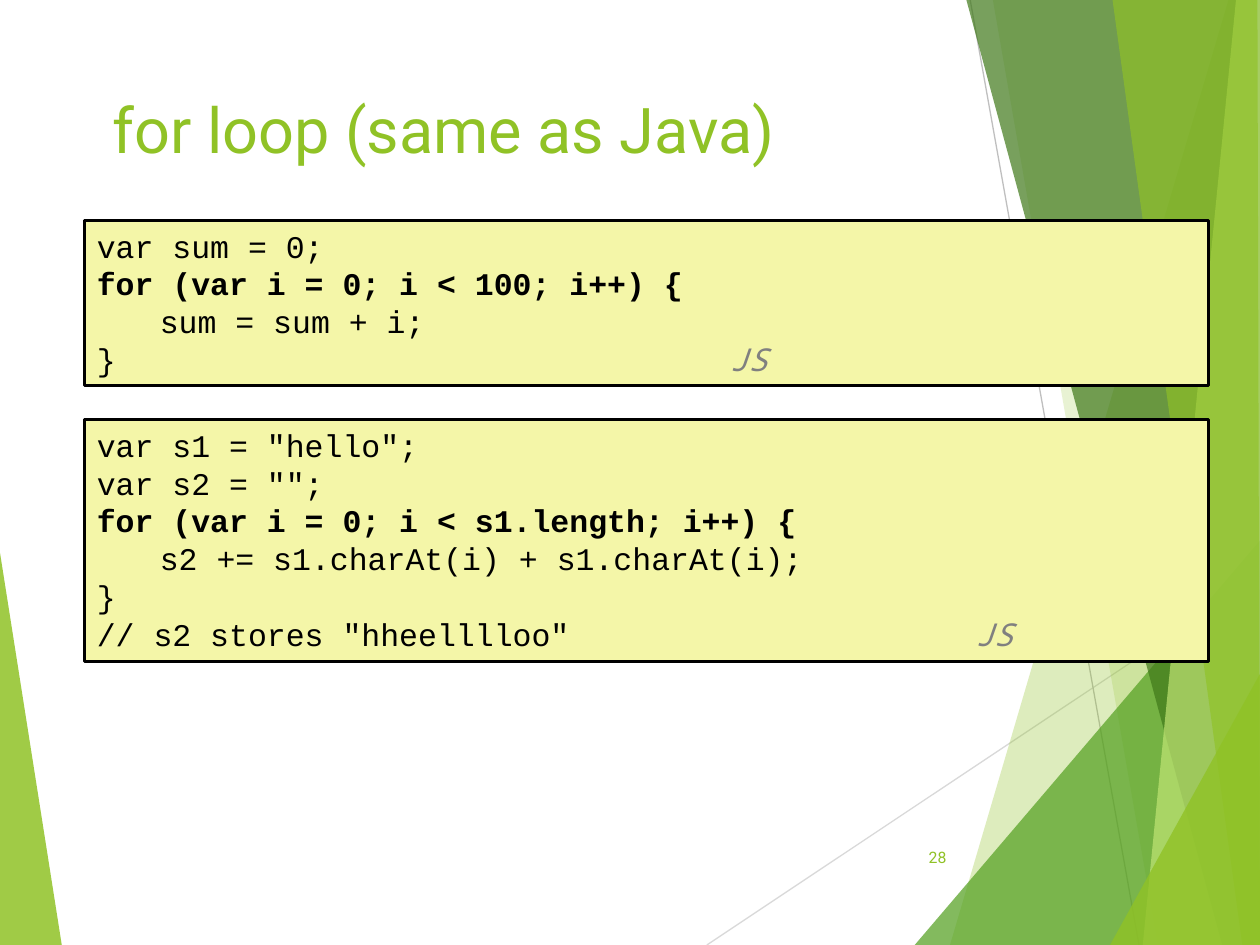
from lxml import etree
from pptx import Presentation
from pptx import util as u
from pptx.dml.color import RGBColor
from pptx.enum import shapes, text
from pptx.oxml import ns

COLORS = {
    "lime": "90C226", "green": "54A021", "forest": "3F7819", "pale": "C0E474",
    "light_rule": "D9D9D9", "rule": "BFBFBF",
    "code_fill": "F4F6A8", "black": "000000", "gray": "808080",
}

deck = Presentation()
deck.slide_width, deck.slide_height = u.Inches(10), u.Inches(7.5)
page = deck.slides.add_slide(deck.slide_layouts[6])


def share(*percents):
    """Turn alternating x, y percentages of the slide into lengths."""
    sides = (deck.slide_width, deck.slide_height)
    return [u.Emu(round(p * sides[i % 2] / 100)) for i, p in enumerate(percents)]


def write(para, words, size=18, font="Courier New", color="black", bold=False, italic=False):
    span = para.add_run()
    span.text = words
    span.font.size, span.font.name = u.Pt(size), font
    span.font.bold, span.font.italic = bold, italic
    span.font.color.rgb = RGBColor.from_string(COLORS[color])


# Thin background rules
for ends, color in [((56.1, 100, 100, 61), "light_rule"), ((77, 0, 90.4, 100), "rule")]:
    rule = page.shapes.add_connector(shapes.MSO_CONNECTOR.STRAIGHT, *share(*ends))
    rule.line.width = u.Pt(0.75)
    rule.line.color.rgb = RGBColor.from_string(COLORS[color])
    etree.SubElement(rule._element.spPr, ns.qn("a:effectLst"))

# Translucent facets: colour, opacity in percent, corners
facets = [
    ("lime", 85, [(0, 58.5), (4.9, 100), (0, 100)]),
    ("lime", 30, [(97.5, 0), (75.4, 100), (100, 100), (100, 0)]),
    ("lime", 20, [(78.8, 0), (91.9, 100), (100, 100), (100, 0)]),
    ("green", 72, [(72.6, 100), (100, 57.2), (100, 100)]),
    ("forest", 70, [(76.7, 0), (97, 100), (100, 100), (100, 0)]),
    ("pale", 70, [(98.1, 0), (90.7, 100), (100, 100), (100, 0)]),
    ("lime", 65, [(88.3, 0), (98.6, 100), (100, 100), (99.8, 0)]),
    ("lime", 80, [(88.1, 100), (100, 71.3), (100, 100)]),
]
for color, opacity, corners in facets:
    start, *rest = [share(*corner) for corner in corners]
    builder = page.shapes.build_freeform(*start)
    builder.add_line_segments(rest, close=True)
    facet = builder.convert_to_shape()
    facet.shadow.inherit = False
    facet.line.fill.background()
    facet.fill.solid()
    facet.fill.fore_color.rgb = RGBColor.from_string(COLORS[color])
    tint = facet._element.spPr.find(".//" + ns.qn("a:srgbClr"))
    etree.SubElement(tint, ns.qn("a:alpha"), val=str(opacity * 1000))

# Title and page number
labels = [
    (" for loop (same as Java)", 36, (6.7, 8.9, 69.4, 19.2), "LEFT", "TOP"),
    ("28", 9, (70.5, 88.1, 5.6, 5.3), "RIGHT", "MIDDLE"),
]
for words, size, area, align, anchor in labels:
    box = page.shapes.add_textbox(*share(*area))
    box.text_frame.word_wrap = True
    box.text_frame.vertical_anchor = text.MSO_ANCHOR[anchor]
    para = box.text_frame.paragraphs[0]
    para.alignment = text.PP_ALIGN[align]
    write(para, words, size=size, font="Roboto", color="lime")

# Code boxes: top and height in percent, tab stop of the language tag in inches
listings = [
    (23.33, 17.47, 5.02, [
        "var sum = 0;",
        "for (var i = 0; i < 100; i++) {",
        "\tsum = sum + i;",
        "}",
    ]),
    (44.4, 25.6, 6.97, [
        'var s1 = "hello";',
        'var s2 = "";',
        "for (var i = 0; i < s1.length; i++) {",
        "\ts2 += s1.charAt(i) + s1.charAt(i);",
        "}",
        '// s2 stores "hheelllloo"',
    ]),
]
for top, height, tag_stop, lines in listings:
    box = page.shapes.add_shape(shapes.MSO_SHAPE.RECTANGLE, *share(6.7, top, 89.2, height))
    box.shadow.inherit = False
    box.fill.solid()
    box.fill.fore_color.rgb = RGBColor.from_string(COLORS["code_fill"])
    box.line.width = u.Pt(1.5)
    box.line.color.rgb = RGBColor.from_string(COLORS["black"])
    frame = box.text_frame
    frame.word_wrap = True
    frame.vertical_anchor = text.MSO_ANCHOR.TOP
    for number, line in enumerate(lines):
        para = frame.add_paragraph() if number else frame.paragraphs[0]
        para.alignment = text.PP_ALIGN.LEFT
        para.line_spacing = u.Pt(21.6)
        last = number == len(lines) - 1
        stops = etree.SubElement(para._p.get_or_add_pPr(), ns.qn("a:tabLst"))
        stop = u.Inches(tag_stop if last else 0.5)
        etree.SubElement(stops, ns.qn("a:tab"), pos=str(stop), algn="l")
        write(para, line + "\t" * last, bold=line.startswith("for"))
        if last:
            write(para, "JS", font="Noto Sans Mono", color="gray", italic=True)

deck.save("out.pptx")
